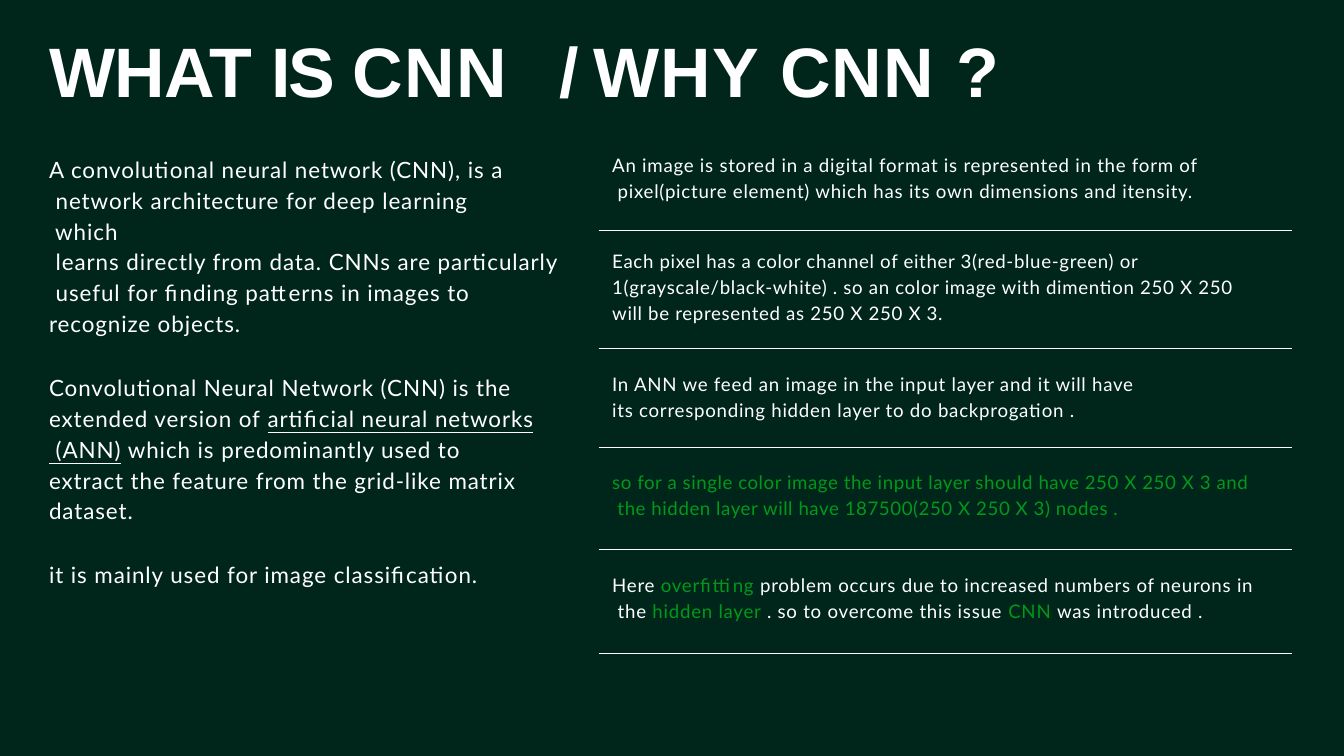
from lxml.etree import SubElement
from pptx import Presentation
from pptx.dml.color import RGBColor as RGB
from pptx.enum.shapes import MSO_CONNECTOR as LINK
from pptx.enum.text import MSO_ANCHOR as ANCHOR, MSO_AUTO_SIZE as FIT, PP_ALIGN as ALIGN
from pptx.oxml.ns import qn
from pptx.util import Inches, Pt

COLS, ROWS = 80, 45
WIDE, HIGH = Inches(20), Inches(11.25)
DARK, WHITE, GREEN = "00261C", "FFFFFF", "00991A"

# Each part: text, then optional style
LEFT = [
    (1, [("A convolutional neural network (CNN), is a\n"
          " network architecture for deep learning\n which\n"
          " learns directly from data. CNNs are particularly\n"
          " useful for finding patterns in images to\n"
          "recognize objects.", {})]),
    (35, [("Convolutional Neural Network (CNN) is the\nextended version of ", {}),
          ("artificial neural networks\n (ANN)", {"under": True}),
          (" which is predominantly used to\n"
           "extract the feature from the grid-like matrix\ndataset.", {})]),
    (35, [("it is mainly used for image classification.", {})]),
]

# Each note: top row, rows high, row of the rule below, letter gap, parts
NOTES = [
    (8.88, 3.2, 13.72, 0.8, [
        ("An image is stored in a digital format is represented in the form of\n"
         " pixel(picture element) which has its own dimensions and itensity.", {})]),
    (14.6, 4.76, 20.72, 0.7, [
        ("Each pixel has a color channel of either 3(red-blue-green) or\n"
         "1(grayscale/black-white) . so an color image with dimention 250 X 250\n"
         "will be represented as 250 X 250 X 3.", {})]),
    (21.92, 3.2, 26.6, 0.8, [
        ("In ANN we feed an image in the input layer and it will have\n"
         "its corresponding hidden layer to do backprogation .", {})]),
    (27.76, 3.2, 32.72, 0.6, [
        ("so for a single color image the input layer should have 250 X 250 X 3 and\n"
         " the hidden layer will have 187500(250 X 250 X 3) nodes .",
         {"hue": GREEN})]),
    (33.92, 3.2, 38.88, 0.8, [
        ("Here ", {}), ("overfitting ", {"hue": GREEN}),
        ("problem occurs due to increased numbers of neurons in\n the ", {}),
        ("hidden layer ", {"hue": GREEN}), (". so to overcome this issue ", {}),
        ("CNN ", {"hue": GREEN}), ("was introduced .", {})]),
]


def grid(x, y, w, h):
    """Turn columns and rows into slide lengths."""
    return (round(x * WIDE / COLS), round(y * HIGH / ROWS),
            round(w * WIDE / COLS), round(h * HIGH / ROWS))


def color(hue):
    return RGB.from_string(hue)


def place(shape, box):
    shape.left, shape.top, shape.width, shape.height = grid(*box)


def frame(shape, wrap=True):
    text = shape.text_frame
    text.word_wrap, text.auto_size = wrap, FIT.NONE
    text.vertical_anchor = ANCHOR.TOP
    text.margin_left = text.margin_right = text.margin_bottom = 0
    text.margin_top = Inches(0.01)
    return text


def write(para, parts, size, face="Lato", gap=0, space=1, lead=1.15, tab=None):
    """Fill a paragraph run by run; a newline in a part is a line break."""
    para.alignment, para.line_spacing = ALIGN.LEFT, lead
    para.space_before, para.space_after = Pt(space), Pt(0)
    props = para._p.get_or_add_pPr()
    props.set("marL", "0")
    props.set("indent", "0")
    SubElement(props, qn("a:buNone"))
    if tab:
        stops = SubElement(props, qn("a:tabLst"))
        SubElement(stops, qn("a:tab"), pos=str(Inches(tab)), algn="l")
    for text, style in parts:
        for i, line in enumerate(text.split("\n")):
            if i:
                para.add_line_break()
            if not line:
                continue
            run = para.add_run()
            run.text = line
            font = run.font
            font.name, font.size = face, Pt(size)
            font.bold = style.get("bold", False)
            font.underline = style.get("under", False)
            font.color.rgb = color(style.get("hue", WHITE))
            track = round(style.get("gap", gap) * 100)
            run._r.get_or_add_rPr().set("spc", str(track))


def head(shape, box, words, tab=None):
    place(shape, box)
    parts = [(word, {"bold": True, "gap": gap}) for word, gap in words]
    write(frame(shape, False).paragraphs[0], parts, 75, "Arial", lead=1, tab=tab)


def body(shape, box):
    place(shape, box)
    text = frame(shape)
    for i, (space, parts) in enumerate(LEFT):
        para = text.add_paragraph() if i else text.paragraphs[0]
        write(para, parts, 24, gap=1, space=space)


def notes(slide, x, w):
    """Stack the notes in a column, each closed by a thin rule."""
    pad = 0.8
    for top, high, base, gap, parts in NOTES:
        shape = slide.shapes.add_textbox(*grid(x + pad, top, w - 2 * pad, high))
        write(frame(shape).paragraphs[0], parts, 20, gap=gap, lead=1.16)
        left, y, wide, _ = grid(x, base, w, 0)
        rule = slide.shapes.add_connector(LINK.STRAIGHT, left, y, left + wide, y)
        rule.line.color.rgb, rule.line.width = color(WHITE), Pt(0.75)
        SubElement(rule._element.spPr, qn("a:effectLst"))


def main():
    deck = Presentation()
    deck.slide_width, deck.slide_height = WIDE, HIGH
    slide = deck.slides.add_slide(deck.slide_layouts[1])
    fill = slide.background.fill
    fill.solid()
    fill.fore_color.rgb = color(DARK)

    head(slide.shapes.title, (2.92, 1.6, 27.48, 5.12),
         [("WHAT ", -0.6), ("IS ", -2.3), ("CNN", 1.5)])
    body(slide.placeholders[1], (2.92, 9, 30.52, 22.12))
    why = slide.shapes.add_textbox(*grid(33.32, 1.6, 38.04, 5.12))
    head(why, (33.32, 1.6, 38.04, 5.12),
         [("/\t", 10.3), ("WHY ", 1.4), ("CNN ", 1.5), ("?", -10.2)], tab=0.95)
    notes(slide, 35.64, 41.28)
    deck.save("out.pptx")


if __name__ == "__main__":
    main()
